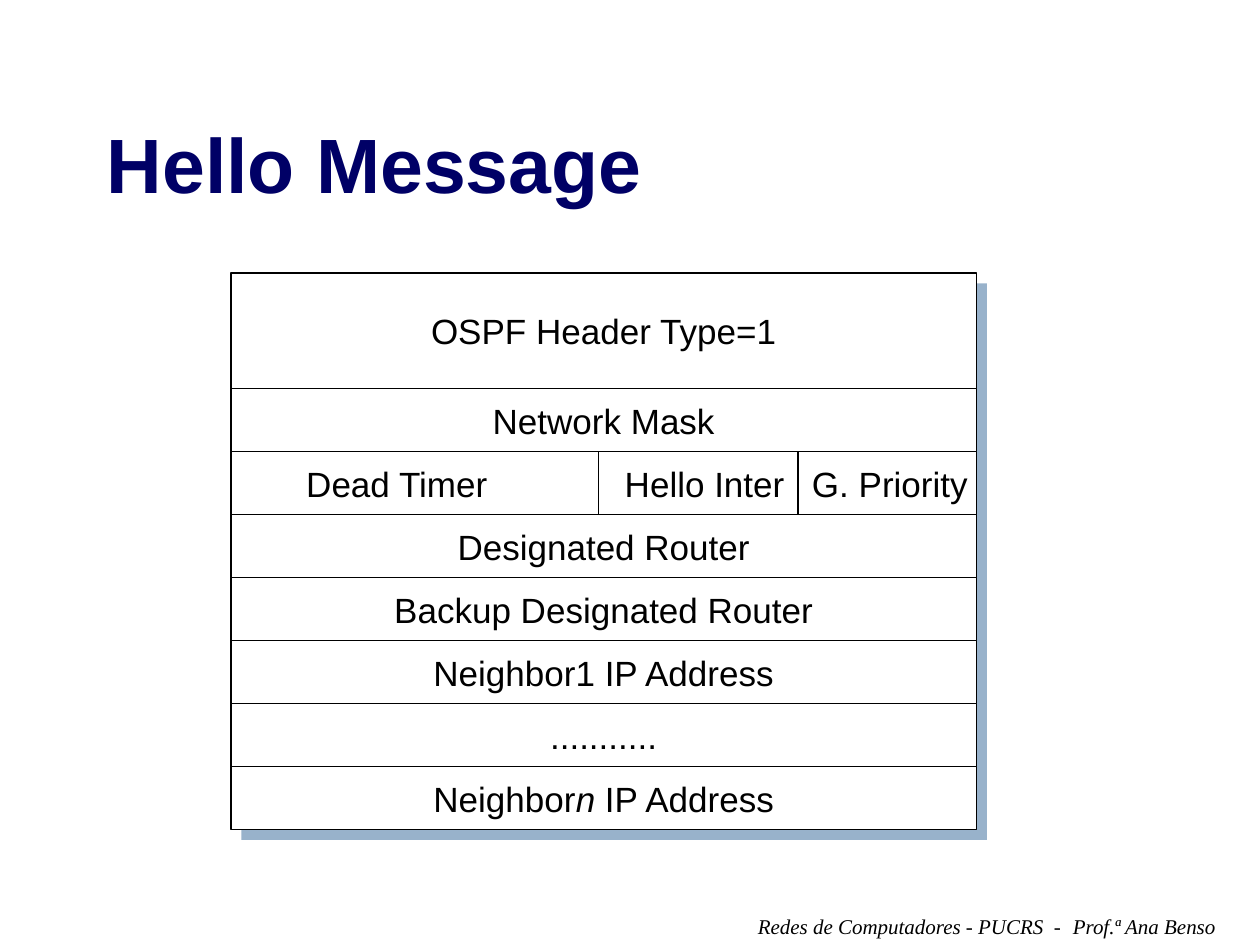
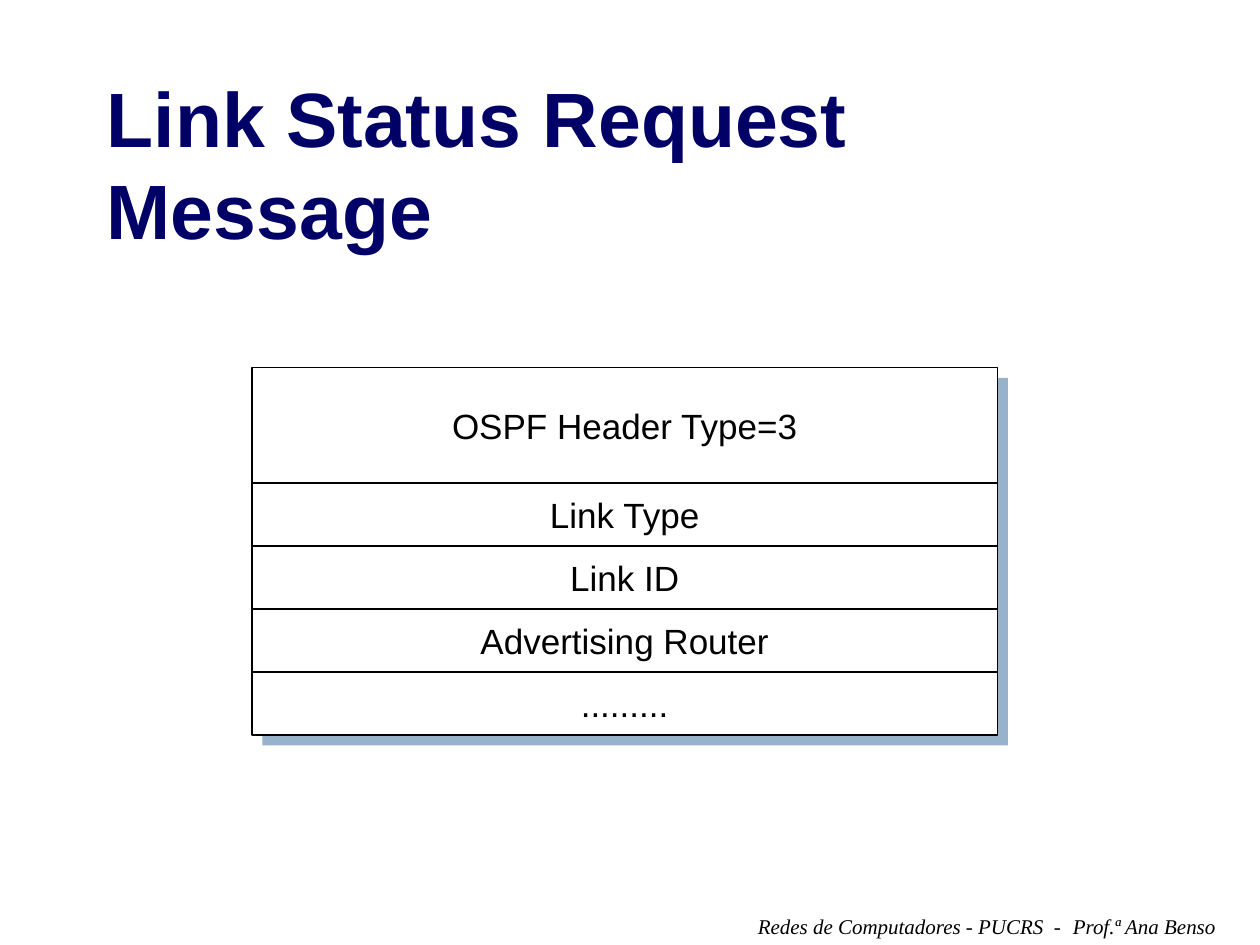
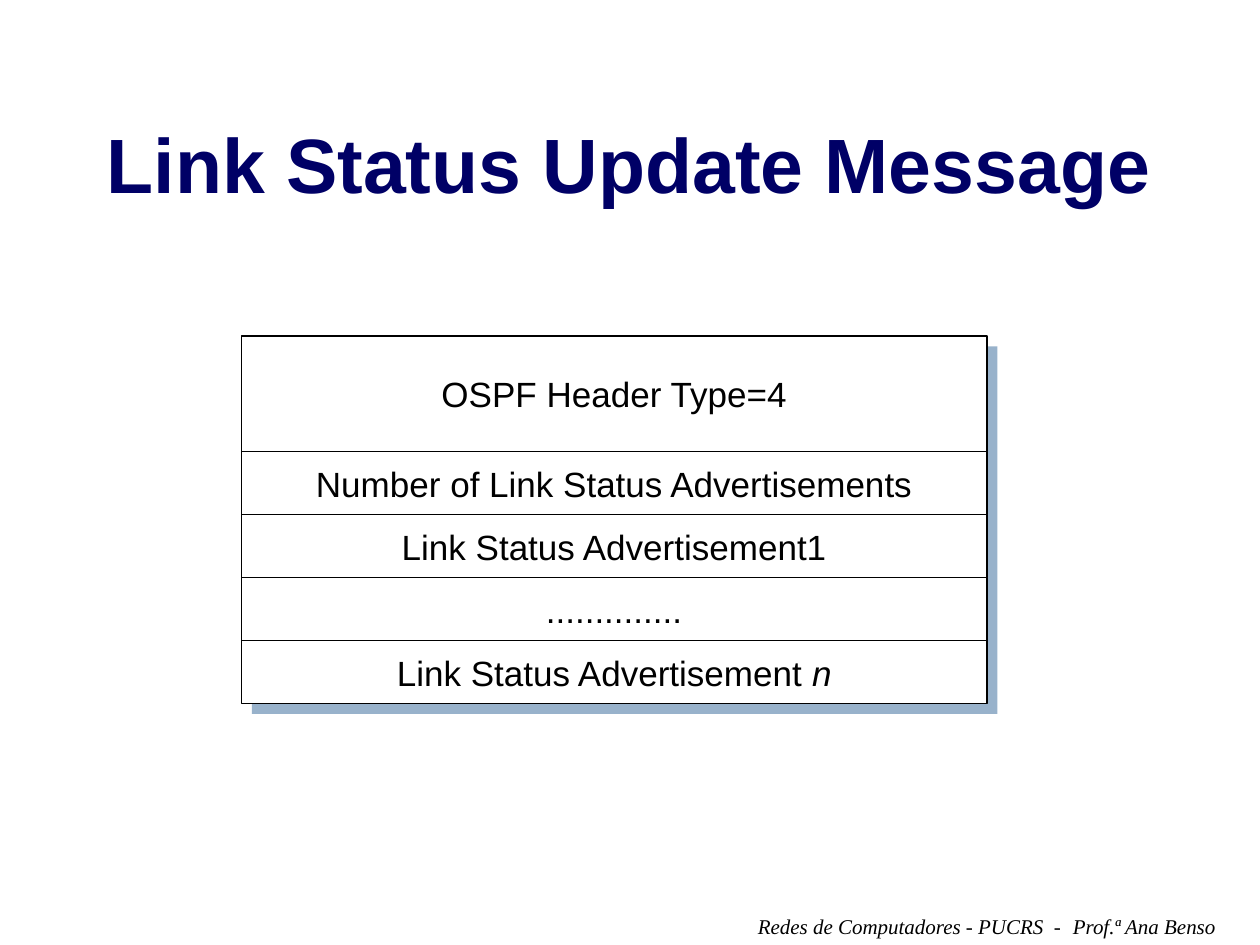
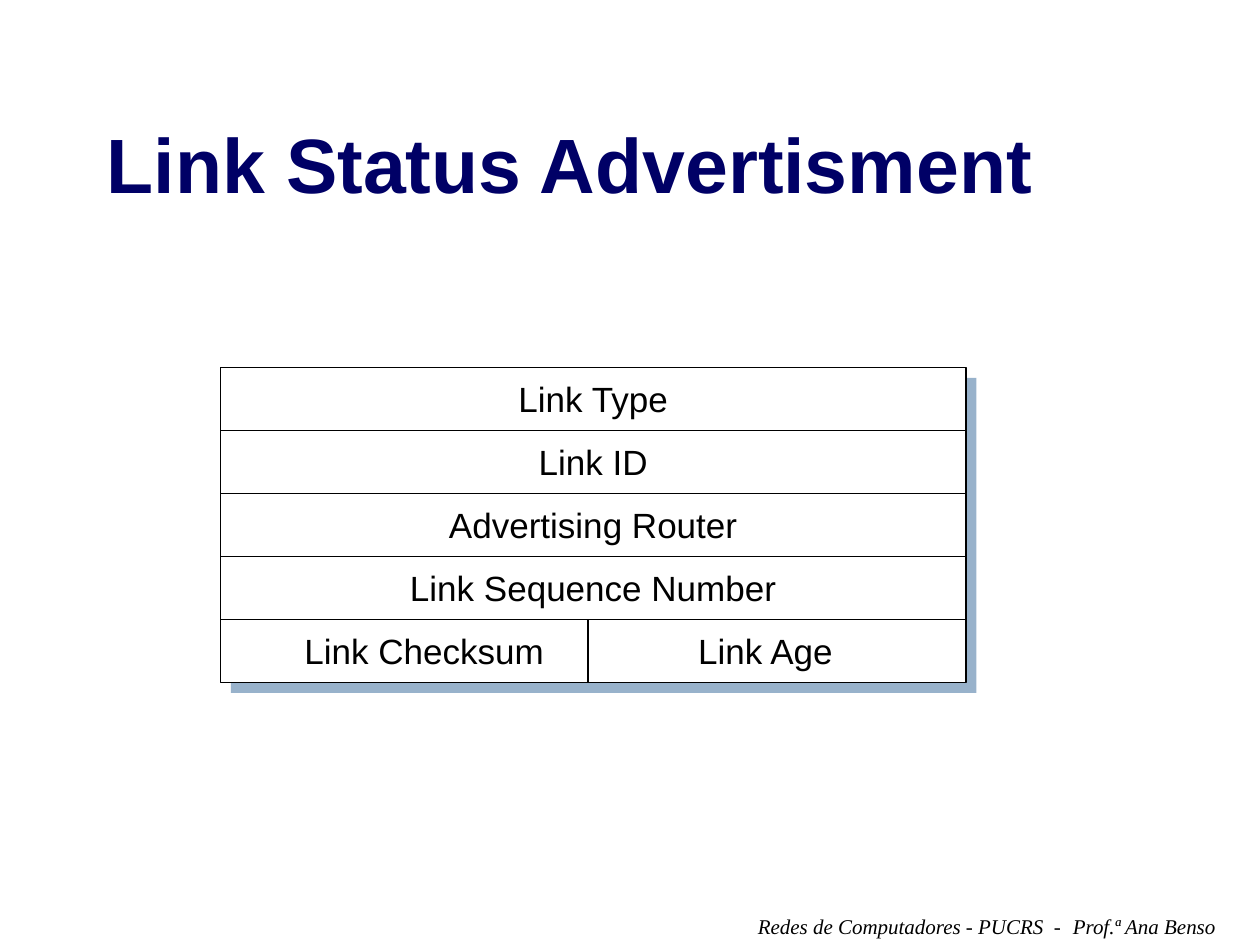
from lxml.etree import SubElement as Sub
from pptx import Presentation
from pptx.dml.color import RGBColor as RGB
from pptx.enum.shapes import MSO_CONNECTOR as LINE, MSO_SHAPE as SHAPE
from pptx.enum.text import MSO_ANCHOR as ANCHOR, PP_ALIGN as ALIGN
from pptx.oxml.ns import qn
from pptx.util import Pt

HUE = {"title": "000066", "ink": "000000", "paper": "FFFFFF", "shade": "336699"}
WIDE, ROW, HEAD = 426, 36, 66

# Footer parts: text, left, width
FOOT = [("Prof.ª Ana Benso", 606, 96.5),
        ("Redes de Computadores - PUCRS  -", 426, 188)]

# Tab stops and divider offsets of the split rows, from the left of the frame
SPLIT = {
    "\tDead Timer\tHello Inter\tG. Priority": ([43, 225, 332], [210, 324]),
    "\tLink Checksum\tLink Age": ([48, 273], [210]),
}

# Slides: title, frame left and top, rows (text between bars is italic)
PAGES = [
    ("Hello Message", 132, 156, [
        "OSPF Header Type=1", "Network Mask",
        "\tDead Timer\tHello Inter\tG. Priority",
        "Designated Router", "Backup Designated Router",
        "Neighbor1 IP Address", "...........", "Neighbor|n| IP Address"]),
    ("Link Status Request Message", 144, 210, [
        "OSPF Header Type=3", "Link Type", "Link ID",
        "Advertising Router", "........."]),
    ("Link Status Update Message", 138, 192, [
        "OSPF Header Type=4", "Number of Link Status Advertisements",
        "Link Status Advertisement1", "..............",
        "Link Status Advertisement |n"]),
    ("Link Status Advertisment", 126, 210, [
        "Link Type", "Link ID", "Advertising Router",
        "Link Sequence Number", "\tLink Checksum\tLink Age"]),
]


def write(shape, text, size, font="Arial", hue="ink", bold=False, slant=False):
    """Fill a shape with one paragraph; parts between bars turn italic."""
    para = shape.text_frame.paragraphs[0]
    for i, part in enumerate(text.split("|")):
        run = para.add_run()
        run.text = part
        run.font.name, run.font.size = font, Pt(size)
        run.font.bold, run.font.italic = bold, slant or i % 2 == 1
        run.font.color.rgb = RGB.from_string(HUE[hue])
    return para


def box(group, x, y, high):
    """Add a white frame-wide rectangle without a shadow."""
    rect = group.shapes.add_shape(SHAPE.RECTANGLE, Pt(x), Pt(y), Pt(WIDE), Pt(high))
    rect.shadow.inherit = False
    rect.fill.solid()
    rect.fill.fore_color.rgb = RGB.from_string(HUE["paper"])
    return rect


deck = Presentation()
deck.slide_width, deck.slide_height = Pt(720), Pt(540)

for title, x, top, rows in PAGES:
    slide = deck.slides.add_slide(deck.slide_layouts[6])

    # Footer
    for text, left, width in FOOT:
        note = slide.shapes.add_textbox(Pt(left), Pt(518.4), Pt(width), Pt(21.6))
        note.text_frame.word_wrap = False
        write(note, text, 12, "Times New Roman", slant=True)

    # Title
    head = slide.shapes.add_textbox(Pt(54), Pt(48), Pt(612), Pt(90))
    head.text_frame.word_wrap = True
    head.text_frame.vertical_anchor = ANCHOR.MIDDLE
    write(head, title, 44, hue="title", bold=True)

    # Backing with a soft blue shadow
    sizes = [HEAD if row.startswith("OSPF") else ROW for row in rows]
    group = slide.shapes.add_group_shape()
    back = box(group, x, top, sum(sizes))
    back.line.fill.background()
    glow = Sub(back._element.spPr.find(qn("a:effectLst")), qn("a:outerShdw"),
               dist=str(Pt(8.5)), dir="2700000", algn="ctr", rotWithShape="0")
    tone = Sub(glow, qn("a:srgbClr"), val=HUE["shade"])
    Sub(tone, qn("a:alpha"), val="50000")

    # Message fields
    y = top
    for row, high in zip(rows, sizes):
        cell = box(group, x, y, high)
        cell.line.color.rgb = RGB.from_string(HUE["ink"])
        cell.line.width = Pt(0.75)
        frame = cell.text_frame
        frame.word_wrap = False
        frame.vertical_anchor = ANCHOR.MIDDLE
        para = write(cell, row, 20)
        para.alignment = ALIGN.CENTER

        # Split row: tab stops and dividers
        if row in SPLIT:
            stops, cuts = SPLIT[row]
            frame.word_wrap = True
            frame.margin_left = frame.margin_right = 0
            para.alignment = ALIGN.LEFT
            tabs = Sub(para._p.get_or_add_pPr(), qn("a:tabLst"))
            for stop in stops:
                Sub(tabs, qn("a:tab"), pos=str(Pt(stop)), algn="l")
            for cut in cuts:
                line = group.shapes.add_connector(
                    LINE.STRAIGHT, Pt(x + cut), Pt(y), Pt(x + cut), Pt(y + high))
                line.line.color.rgb = RGB.from_string(HUE["ink"])
                line.line.width = Pt(0.75)
                Sub(line._element.spPr, qn("a:effectLst"))
        y += high

deck.save("out.pptx")
